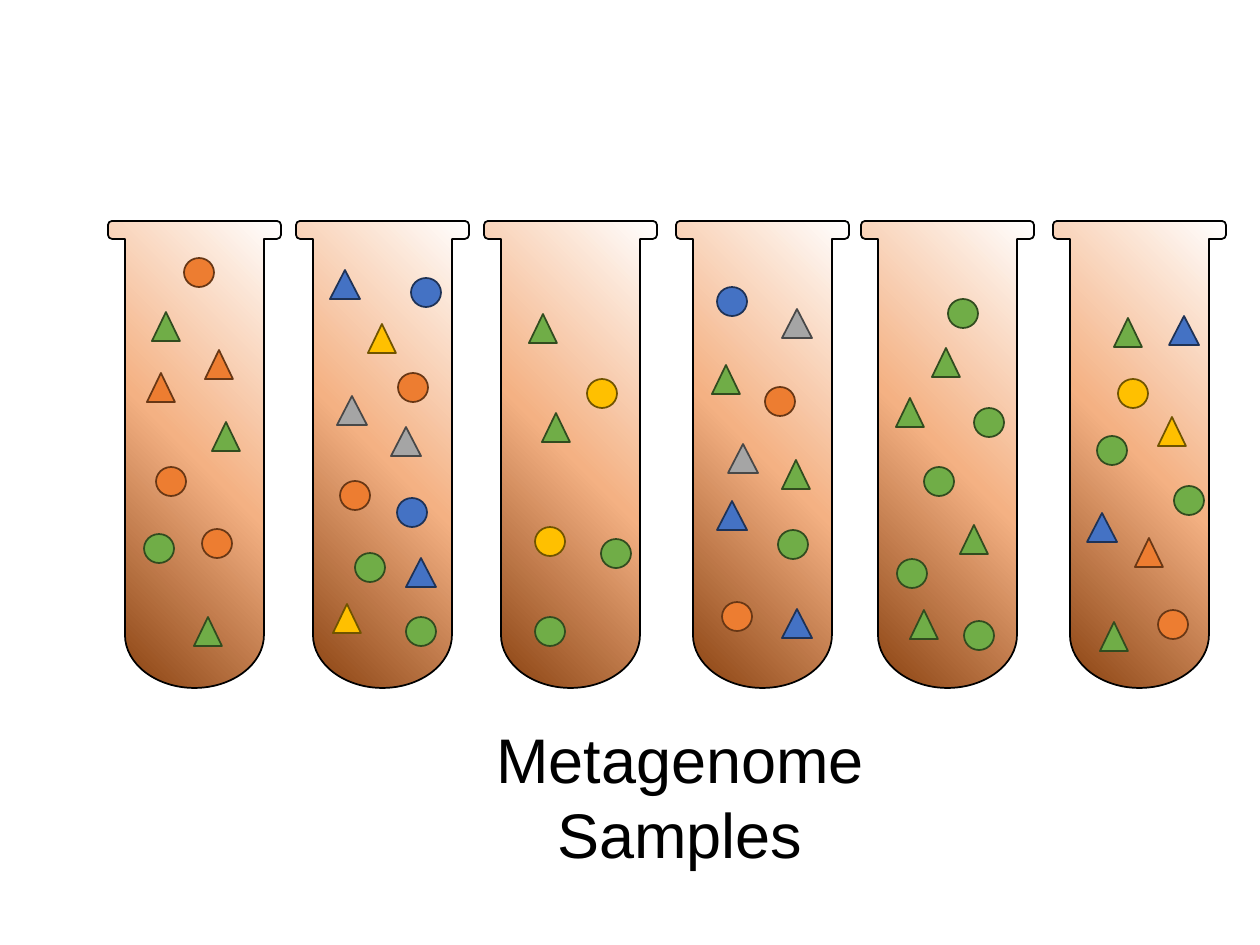
from copy import deepcopy

from pptx import Presentation
from pptx.dml.color import RGBColor
from pptx.enum.shapes import MSO_SHAPE
from pptx.enum.text import MSO_AUTO_SIZE, PP_ALIGN
from pptx.oxml.ns import qn
from pptx.util import Emu, Pt

CIRCLE = MSO_SHAPE.OVAL
TRIANGLE = MSO_SHAPE.ISOSCELES_TRIANGLE
CENTER = PP_ALIGN.CENTER
GROW = MSO_AUTO_SIZE.SHAPE_TO_FIT_TEXT

EMU_PER_PX = 914400 / 126
BLANK_LAYOUT = 6
FONT = "Arial"

COLORS = {
    "black": "000000",
    "soil": "843C0B",
    "clay": "F4B183",
    "white": "FFFFFF",
    "green": "70AD47",
    "green_edge": "314C1F",
    "orange": "ED7D31",
    "orange_edge": "683715",
    "blue": "4472C4",
    "blue_edge": "1E3256",
    "gold": "FFC000",
    "gold_edge": "705400",
    "gray": "A5A5A5",
    "gray_edge": "484848",
}

TUBE_TOP = 221
TUBE_WIDTH, TUBE_HEIGHT = 173, 467
LIP_HEIGHT, LIP_INSET, LIP_RADIUS = 18, 17, 4
BOWL_HEIGHT = 53
QUARTER_ARC = 0.55

PARTICLE_HEIGHT = 29
WIDE, NARROW = 30, 28
WIDE_TRIANGLES = ("blue", "gray")

LEFT_SAMPLES = {
    108: {
        (CIRCLE, "orange"): [(184, 258), (156, 467), (202, 529)],
        (CIRCLE, "green"): [(144, 534)],
        (TRIANGLE, "orange"): [(205, 350), (147, 373)],
        (TRIANGLE, "green"): [(152, 312), (212, 422), (194, 617)],
    },
    296: {
        (CIRCLE, "orange"): [(398, 373), (340, 481)],
        (CIRCLE, "green"): [(355, 553), (406, 617)],
        (CIRCLE, "blue"): [(411, 278), (397, 498)],
        (TRIANGLE, "gold"): [(368, 324), (333, 604)],
        (TRIANGLE, "blue"): [(330, 270), (406, 558)],
        (TRIANGLE, "gray"): [(337, 396), (391, 427)],
    },
    484: {
        (CIRCLE, "green"): [(601, 539), (535, 617)],
        (CIRCLE, "gold"): [(587, 379), (535, 527)],
        (TRIANGLE, "green"): [(529, 314), (542, 413)],
    },
    676: {
        (CIRCLE, "orange"): [(765, 387), (722, 602)],
        (CIRCLE, "green"): [(778, 530)],
        (CIRCLE, "blue"): [(717, 287)],
        (TRIANGLE, "green"): [(712, 365), (782, 460)],
        (TRIANGLE, "blue"): [(717, 501), (782, 609)],
        (TRIANGLE, "gray"): [(782, 309), (728, 444)],
    },
}

RIGHT_SAMPLES = {
    861: {
        (CIRCLE, "green"): [(948, 299), (974, 408), (924, 467), (897, 559), (964, 621)],
        (TRIANGLE, "green"): [(932, 348), (896, 398), (960, 525), (910, 610)],
    },
    1053: {
        (CIRCLE, "orange"): [(1158, 610)],
        (CIRCLE, "green"): [(1097, 436), (1174, 486)],
        (CIRCLE, "gold"): [(1118, 379)],
        (TRIANGLE, "orange"): [(1135, 538)],
        (TRIANGLE, "green"): [(1114, 318), (1100, 622)],
        (TRIANGLE, "blue"): [(1169, 316), (1087, 513)],
        (TRIANGLE, "gold"): [(1158, 417)],
    },
}


def emu(px):
    return Emu(round(px * EMU_PER_PX))


def rgb(name):
    return RGBColor.from_string(COLORS[name])


def curve(start, corner, end):
    def toward_corner(point):
        return tuple(p + QUARTER_ARC * (c - p) for p, c in zip(point, corner))

    return [toward_corner(start), toward_corner(end), end]


def tube_outline(left, top):
    right, bottom = left + TUBE_WIDTH, top + TUBE_HEIGHT
    lip_bottom, bowl_top = top + LIP_HEIGHT, bottom - BOWL_HEIGHT
    wall_left, wall_right = left + LIP_INSET, right - LIP_INSET
    lip_left, lip_right = left + LIP_RADIUS, right - LIP_RADIUS
    lip_upper, lip_lower = top + LIP_RADIUS, lip_bottom - LIP_RADIUS
    base = ((left + right) / 2, bottom)
    return [
        [(lip_left, top)],
        [(lip_right, top)],
        curve((lip_right, top), (right, top), (right, lip_upper)),
        [(right, lip_lower)],
        curve((right, lip_lower), (right, lip_bottom), (lip_right, lip_bottom)),
        [(wall_right, lip_bottom)],
        [(wall_right, bowl_top)],
        curve((wall_right, bowl_top), (wall_right, bottom), base),
        curve(base, (wall_left, bottom), (wall_left, bowl_top)),
        [(wall_left, lip_bottom)],
        [(lip_left, lip_bottom)],
        curve((lip_left, lip_bottom), (left, lip_bottom), (left, lip_lower)),
        [(left, lip_upper)],
        curve((left, lip_upper), (left, top), (lip_left, top)),
    ]


class SlideBuilder:
    def __init__(self, slide, font):
        self.slide = slide
        self.font = font

    def outline(self, shape, color):
        shape.shadow.inherit = False
        shape.line.color.rgb = rgb(color)
        shape.line.width = Pt(1)

    def tube(self, left, top):
        segments = tube_outline(left, top)
        points = [(emu(x), emu(y)) for segment in segments for x, y in segment]
        builder = self.slide.shapes.build_freeform(*points[0])
        builder.add_line_segments(points[1:], close=True)
        shape = builder.convert_to_shape()
        self.bend(shape, segments[1:])
        self.outline(shape, "black")
        shape.fill.gradient()
        shape.fill.gradient_angle = 45
        stop_list = next(shape._element.spPr.iter(qn("a:gsLst")))
        stop_list.append(deepcopy(stop_list[-1]))
        for index, color in enumerate(("soil", "clay", "white")):
            stop = shape.fill.gradient_stops[index]
            stop.position = index / 2
            stop.color.rgb = rgb(color)

    def bend(self, shape, segments):
        lines = iter(list(shape._element.spPr.iter(qn("a:lnTo"))))
        for segment in segments:
            first, *others = [next(lines) for _ in segment]
            if others:
                first.tag = qn("a:cubicBezTo")
            for line in others:
                first.append(line[0])
                line.getparent().remove(line)

    def particle(self, kind, color, left, top):
        narrow = kind == TRIANGLE and color not in WIDE_TRIANGLES
        width = NARROW if narrow else WIDE
        shape = self.slide.shapes.add_shape(
            kind, emu(left), emu(top), emu(width), emu(PARTICLE_HEIGHT)
        )
        shape.fill.solid()
        shape.fill.fore_color.rgb = rgb(color)
        self.outline(shape, f"{color}_edge")

    def samples(self, samples):
        for tube_left, particles in samples.items():
            self.tube(tube_left, TUBE_TOP)
            for (kind, color), places in particles.items():
                for left, top in places:
                    self.particle(kind, color, left, top)

    def text(self, text, *, left, top, width, height, size, color="black", align=CENTER):
        shape = self.slide.shapes.add_textbox(emu(left), emu(top), emu(width), emu(height))
        frame = shape.text_frame
        frame.word_wrap = True
        frame.auto_size = GROW
        paragraph = frame.paragraphs[0]
        paragraph.alignment = align
        run = paragraph.add_run()
        run.text = text
        run.font.name = self.font
        run.font.size = Pt(size)
        run.font.color.rgb = rgb(color)


presentation = Presentation()
presentation.slide_width, presentation.slide_height = emu(1260), emu(945)
blank = presentation.slide_layouts[BLANK_LAYOUT]
builder = SlideBuilder(presentation.slides.add_slide(blank), FONT)
builder.samples(LEFT_SAMPLES)
builder.text("Metagenome Samples", left=406, top=714, width=548, height=165, size=36)
builder.samples(RIGHT_SAMPLES)
presentation.save("out.pptx")
